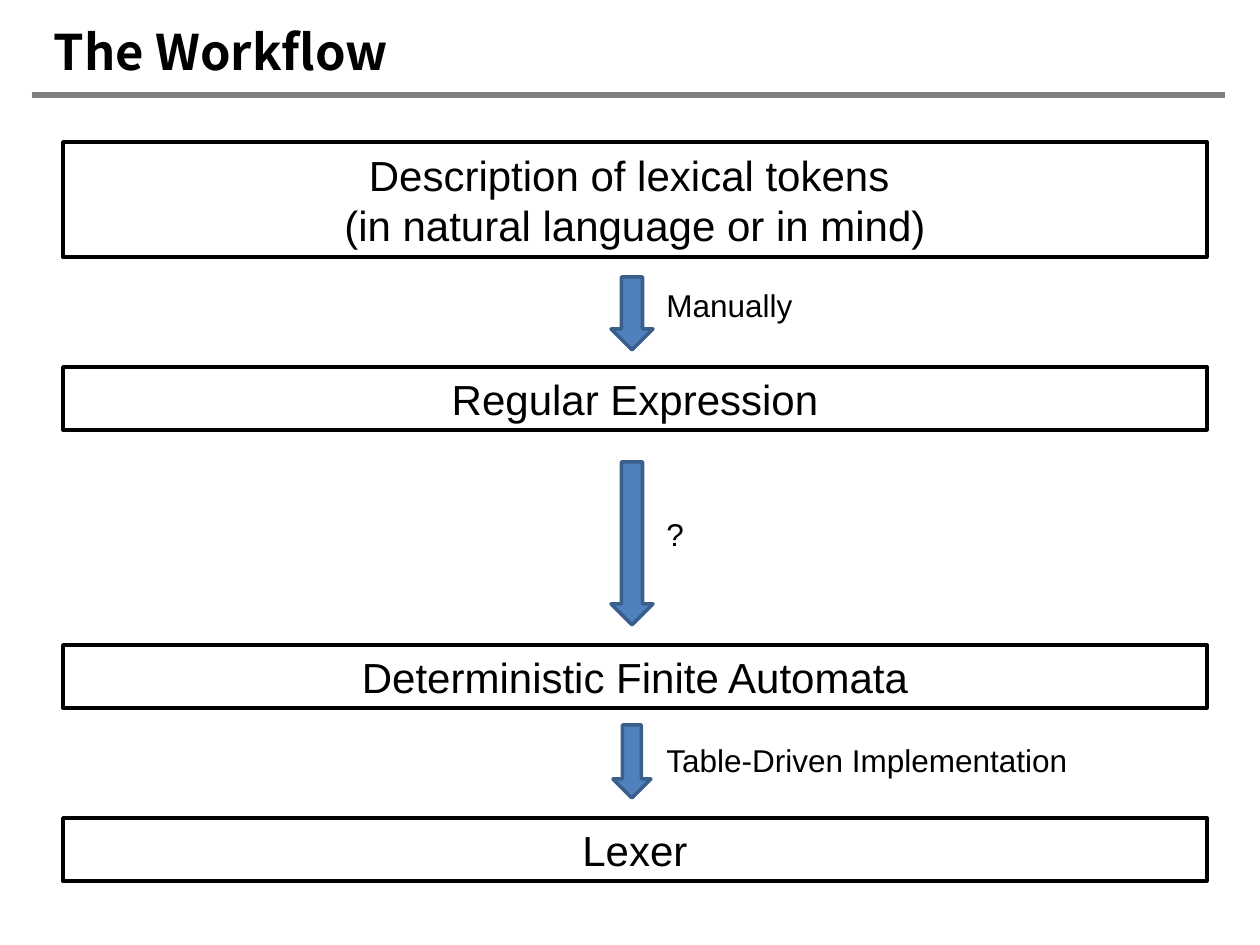
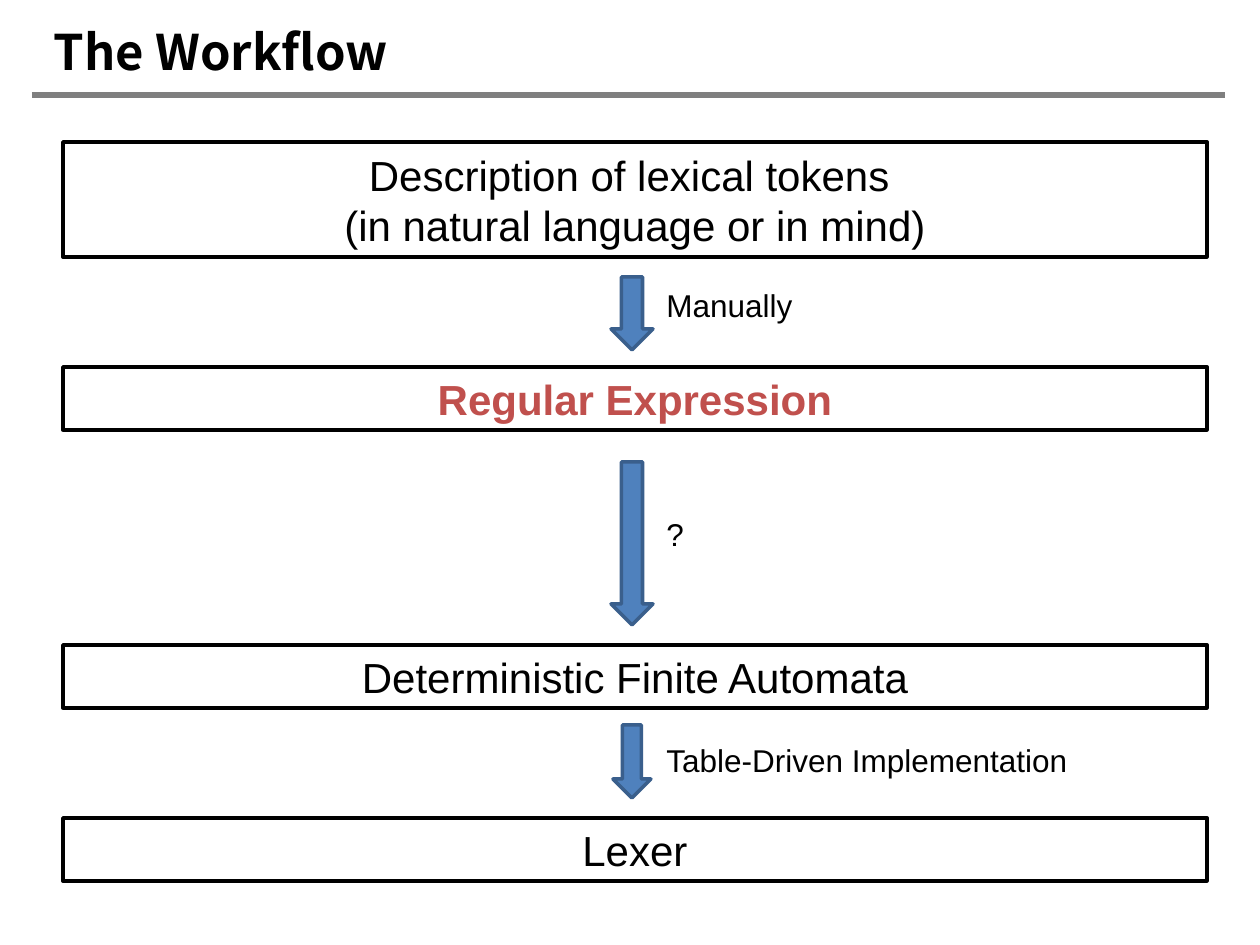
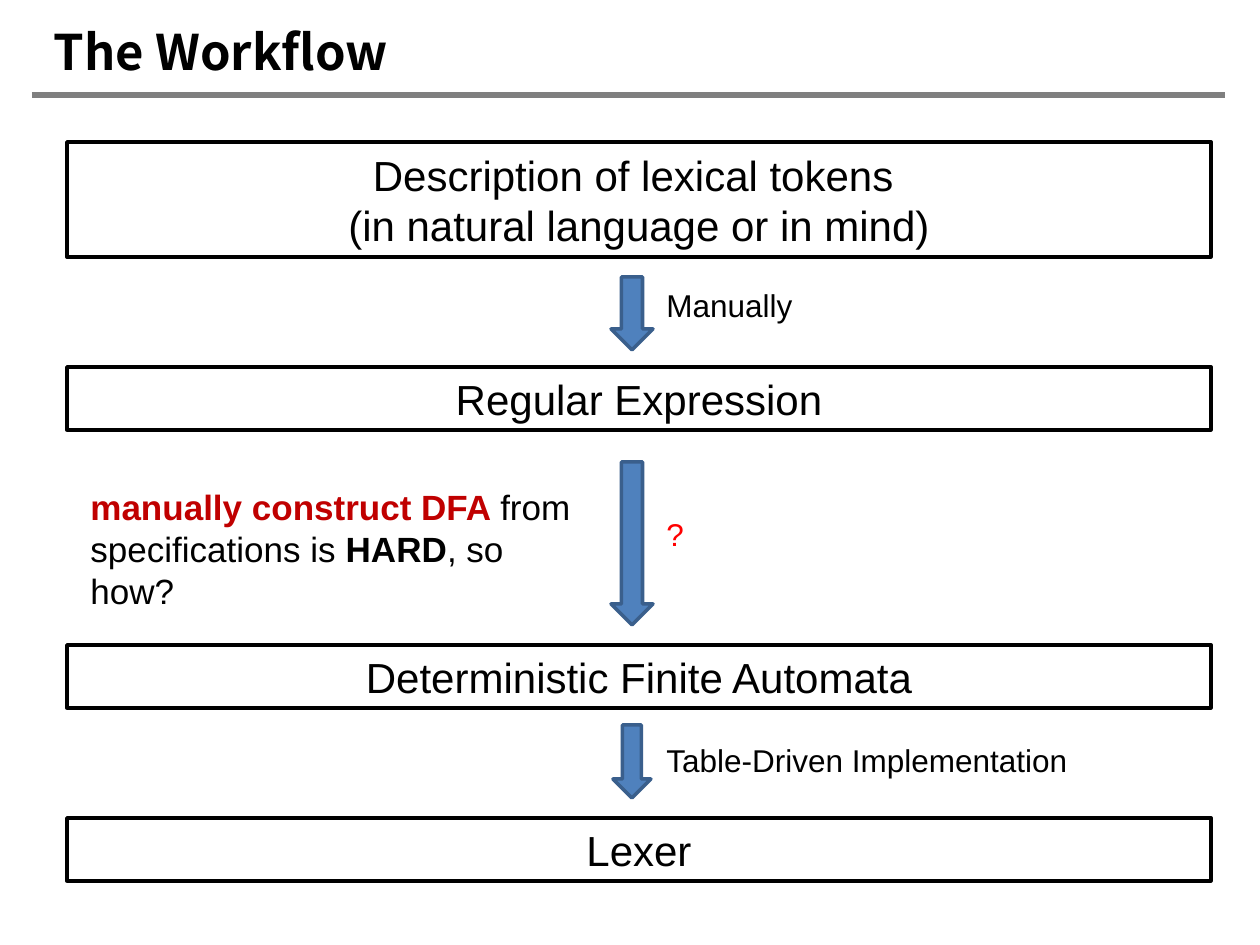
from lxml.etree import SubElement
from pptx import Presentation
from pptx.dml.color import RGBColor
from pptx.enum.shapes import MSO_CONNECTOR, MSO_SHAPE
from pptx.enum.text import MSO_ANCHOR, PP_ALIGN
from pptx.oxml.ns import qn
from pptx.util import Pt

PX = 914400 / 126
COLORS = {
    "ink": "000000",
    "rule": "7F7F7F",
    "arrow": "4F81BD",
    "arrow_edge": "3A5F8C",
    "focus": "C0504D",
    "question": "FF0000",
    "warning": "C00000",
}
TITLE_FONT = "Noto Sans CJK SC"
BODY_FONT = "Arial"

STAGE_WIDTH = 1144
STAGES = [  # top, height, lines
    (142, 115, ["Description of lexical tokens ", "(in natural language or in mind)"]),
    (367, 63, ["Regular Expression"]),
    (645, 63, ["Deterministic Finite Automata"]),
    (818, 63, ["Lexer"]),
]
ARROW_CENTER = 632
STEPS = [  # arrow top, arrow width, arrow height, label top, label width, label
    (277, 42, 73, 280, 176, "Manually"),
    (462, 42, 163, 509, 483, "?"),
    (725, 38, 73, 735, 483, "Table-Driven Implementation"),
]
NOTE = [  # text, color, bold
    ("manually construct DFA ", "warning", True),
    ("from specifications is ", "ink", False),
    ("HARD", "ink", True),
    (", so how?", "ink", False),
]
VARIANTS = [  # left edge of the stages, highlighted texts, grouped, with note
    (63, {}, True, False),
    (63, {"Regular Expression": "focus"}, False, False),
    (67, {"?": "question"}, False, True),
]


def emu(*lengths):
    return [round(length * PX) for length in lengths]


def set_font(font, size, color="ink", bold=False, name=BODY_FONT):
    font.name, font.size, font.bold = name, Pt(size), bold
    font.color.rgb = RGBColor.from_string(COLORS[color])


prs = Presentation()
prs.slide_width, prs.slide_height = emu(1260, 945)

for stage_left, highlights, grouped, with_note in VARIANTS:
    slide = prs.slides.add_slide(prs.slide_layouts[6])

    rule = slide.shapes.add_connector(MSO_CONNECTOR.STRAIGHT, *emu(32, 95, 1225, 95))
    rule.line.color.rgb = RGBColor.from_string(COLORS["rule"])
    rule.line.width = Pt(3)
    SubElement(rule._element.spPr, qn("a:effectLst"))

    title = slide.shapes.add_textbox(*emu(54, 21, 501, 59)).text_frame
    title.margin_left = title.margin_top = title.margin_right = title.margin_bottom = 0
    title.vertical_anchor = MSO_ANCHOR.MIDDLE
    title.word_wrap = True
    title.text = "The Workflow"
    set_font(title.paragraphs[0].font, 28, bold=True, name=TITLE_FONT)

    diagram = slide.shapes.add_group_shape().shapes if grouped else slide.shapes

    for top, height, lines in STAGES:
        stage = diagram.add_shape(
            MSO_SHAPE.RECTANGLE, *emu(stage_left, top, STAGE_WIDTH, height))
        stage.shadow.inherit = False
        stage.fill.background()
        stage.line.color.rgb = RGBColor.from_string(COLORS["ink"])
        stage.line.width = Pt(2)
        stage.text_frame.text = "\n".join(lines)
        for line, paragraph in zip(lines, stage.text_frame.paragraphs):
            paragraph.alignment = PP_ALIGN.CENTER
            set_font(paragraph.font, 24, highlights.get(line, "ink"), line in highlights)

    for top, width, height, *_ in STEPS:
        arrow = diagram.add_shape(
            MSO_SHAPE.DOWN_ARROW, *emu(ARROW_CENTER - width / 2, top, width, height))
        arrow.shadow.inherit = False
        arrow.fill.solid()
        arrow.fill.fore_color.rgb = RGBColor.from_string(COLORS["arrow"])
        arrow.line.color.rgb = RGBColor.from_string(COLORS["arrow_edge"])
        arrow.line.width = Pt(2)

    for *_, top, width, text in STEPS:
        label = diagram.add_textbox(*emu(654, top, width, 50)).text_frame
        label.word_wrap = True
        label.text = text
        set_font(label.paragraphs[0].font, 18, highlights.get(text, "ink"))

    if with_note:
        note = slide.shapes.add_textbox(*emu(78, 479, 520, 117)).text_frame
        note.word_wrap = True
        for text, color, bold in NOTE:
            run = note.paragraphs[0].add_run()
            run.text = text
            set_font(run.font, 20, color, bold)

prs.save("out.pptx")
